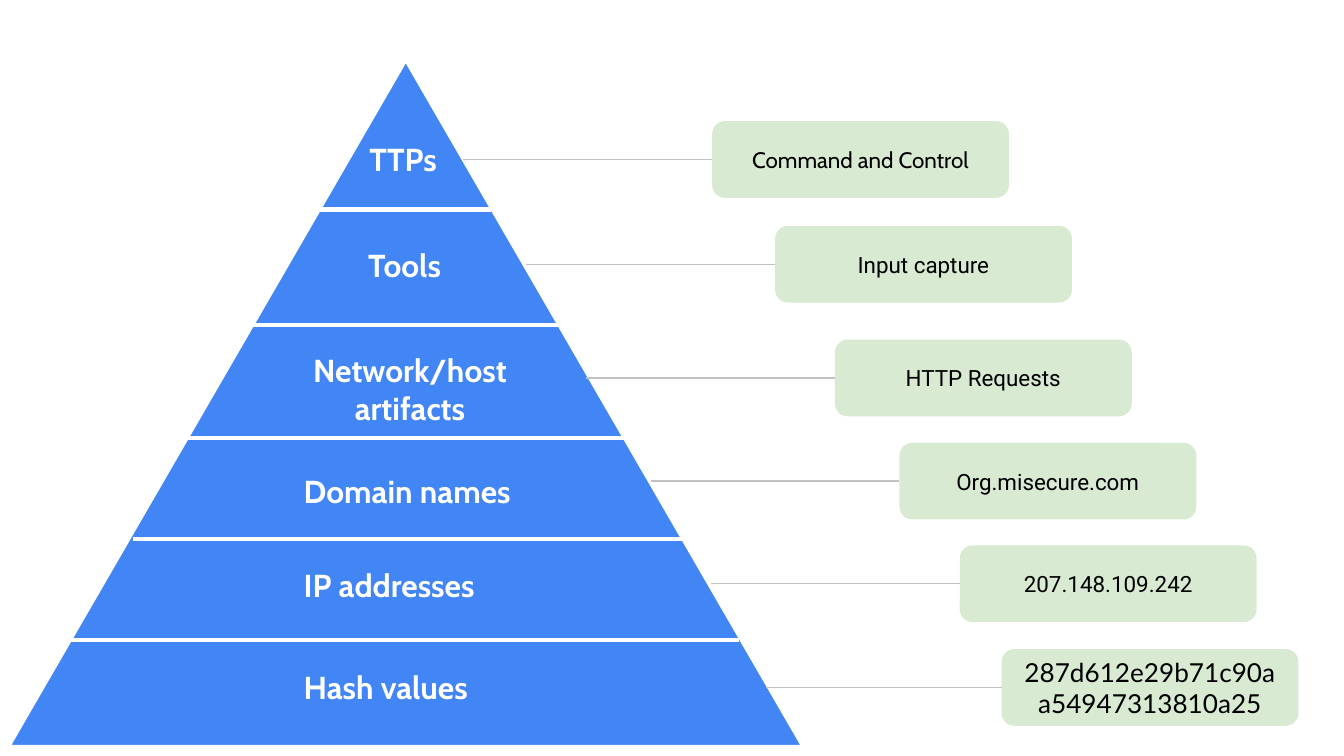
"""Build a slide with a six-level indicator pyramid and an example beside each level."""
from dataclasses import dataclass

from lxml import etree
from pptx import Presentation
from pptx.dml.color import RGBColor
from pptx.enum.shapes import MSO_CONNECTOR, MSO_SHAPE
from pptx.enum.text import MSO_ANCHOR, MSO_AUTO_SIZE, PP_ALIGN
from pptx.oxml.ns import qn
from pptx.util import Cm, Pt

STRAIGHT, ELBOW = MSO_CONNECTOR.STRAIGHT, MSO_CONNECTOR.ELBOW
TRIANGLE, ROUNDED = MSO_SHAPE.ISOSCELES_TRIANGLE, MSO_SHAPE.ROUNDED_RECTANGLE
TOP, MIDDLE = MSO_ANCHOR.TOP, MSO_ANCHOR.MIDDLE
LEFT, CENTER = PP_ALIGN.LEFT, PP_ALIGN.CENTER
GROW, FIXED = MSO_AUTO_SIZE.SHAPE_TO_FIT_TEXT, MSO_AUTO_SIZE.NONE
LEFT_SIDE = 1


@dataclass(frozen=True)
class Theme:
    """Colours, fonts and type sizes of the slide."""
    blue: str = "4285F4"
    white: str = "FFFFFF"
    green: str = "D9EAD3"
    grey: str = "C2C2C2"
    black: str = "000000"
    heading: str = "Cabin"
    body: str = "Roboto"
    hash_font: str = "Lato"
    label_size: int = 17
    example_size: int = 12
    hash_size: int = 14
    divider_width: float = 2.25
    leader_width: float = 0.75


class PyramidSlide:
    """Hold the theme and the current page, and draw each kind of element."""

    def __init__(self, page, theme):
        self.page = page
        self.theme = theme

    def set_text(self, box, text, color, font_format, align, anchor, auto_size):
        frame = box.text_frame
        frame_format = {"word_wrap": True, "vertical_anchor": anchor, "auto_size": auto_size}
        for side in ("left", "top", "right", "bottom"):
            frame_format[f"margin_{side}"] = Cm(0.25)
        for name, value in frame_format.items():
            setattr(frame, name, value)
        para = frame.paragraphs[0]
        para.alignment = align
        span = para.add_run()
        span.text = text
        for name, value in font_format.items():
            setattr(span.font, name, value)
        span.font.color.rgb = RGBColor.from_string(color)

    def shape(self, shapes, kind, place, fill):
        box = shapes.add_shape(kind, *map(Cm, place))
        box.shadow.inherit = False
        box.fill.solid()
        box.fill.fore_color.rgb = RGBColor.from_string(fill)
        box.line.fill.background()
        return box

    def line(self, shapes, kind, ends, color, width):
        connector = shapes.add_connector(kind, *ends)
        connector.line.color.rgb = RGBColor.from_string(color)
        connector.line.width = Pt(width)
        etree.SubElement(connector._element.spPr, qn("a:effectLst"))
        return connector

    def pyramid(self, place, dividers):
        theme = self.theme
        group = self.page.shapes.add_group_shape()
        body = self.shape(group.shapes, TRIANGLE, place, theme.blue)
        body.line.color.rgb = RGBColor.from_string(theme.white)
        body.line.width = Pt(theme.divider_width)
        for start, end, y in dividers:
            ends = map(Cm, (start, y, end, y))
            self.line(group.shapes, STRAIGHT, ends, theme.white, theme.divider_width)

    def label(self, text, place, align):
        theme = self.theme
        box = self.page.shapes.add_textbox(*map(Cm, place))
        font_format = {"name": theme.heading, "size": Pt(theme.label_size), "bold": True}
        self.set_text(box, text, theme.white, font_format, align, TOP, GROW)

    def example(self, text, left, top, leader, font, size):
        theme = self.theme
        shapes = self.page.shapes
        box = self.shape(shapes, ROUNDED, (left, top, 5.61, 1.45), theme.green)
        font_format = {"name": font, "size": Pt(size)}
        self.set_text(box, text, theme.black, font_format, CENTER, MIDDLE, FIXED)
        y = box.top + box.height // 2
        ends = (box.left - Cm(leader), y, box.left, y)
        connector = self.line(shapes, ELBOW, ends, theme.grey, theme.leader_width)
        connector.end_connect(box, LEFT_SIDE)


def main():
    theme = Theme()
    deck = Presentation()
    deck.slide_width, deck.slide_height = Cm(25.4), Cm(14.29)
    slide = PyramidSlide(deck.slides.add_slide(deck.slide_layouts[6]), theme)

    slide.pyramid((0.15, 1.12, 15.04, 13), [
        (6.05, 9.27, 3.96),
        (4.78, 10.59, 6.15),
        (3.53, 11.79, 8.28),
        (2.51, 12.88, 10.19),
        (1.35, 13.97, 12.09),
    ])

    labels = [
        ("TTPs", (6.73, 2.39, 2.24, 1.24), LEFT),
        ("Tools", (6.71, 4.39, 2.24, 1.24), LEFT),
        ("Network/host artifacts", (4.98, 6.38, 5.54, 1.96), CENTER),
        ("Domain names", (5.49, 8.66, 5.69, 1.24), LEFT),
        ("IP addresses", (5.49, 10.44, 5.69, 1.24), LEFT),
        ("Hash values", (5.49, 12.37, 5.69, 1.24), LEFT),
    ]
    for text, place, align in labels:
        slide.label(text, place, align)

    body = (4.7, theme.body, theme.example_size)
    examples = [
        ("Command and Control", 13.46, 2.29, 4.7, theme.heading, theme.example_size),
        ("Input capture", 14.65, 4.27, *body),
        ("HTTP Requests", 15.78, 6.42, *body),
        ("Org.misecure.com", 17, 8.37, *body),
        ("207.148.109.242", 18.14, 10.31, *body),
        ("287d612e29b71c90aa54947313810a25", 18.93, 12.27, 4.46,
         theme.hash_font, theme.hash_size),
    ]
    for example in examples:
        slide.example(*example)

    deck.save("out.pptx")


if __name__ == "__main__":
    main()
